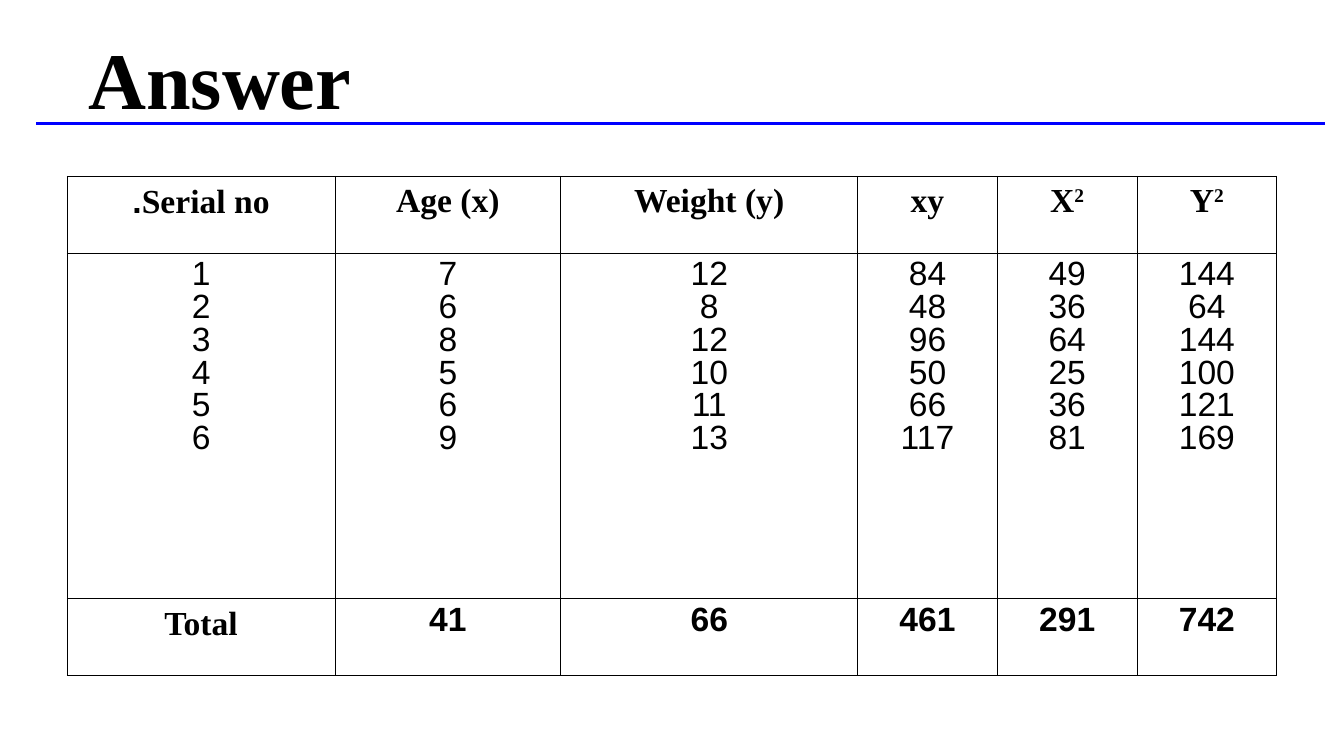
"""Build the answer slide with its table of sums."""
from lxml import etree
from pptx import Presentation, util as u
from pptx.dml.color import RGBColor
from pptx.enum import shapes, text
from pptx.oxml.ns import qn

FONT = "Times New Roman"


def paint(code):
    return RGBColor.from_string(code)


def write(para, words, size, bold, raised=False):
    run = para.add_run()
    run.text = words
    font = run.font
    font.name, font.size, font.bold = FONT, u.Pt(size), bold
    font.color.rgb = paint("000000")
    etree.SubElement(font._element, qn("a:cs")).set("typeface", "Arial")
    if raised:
        font._element.set("baseline", "30000")


deck = Presentation()
deck.slide_width, deck.slide_height = u.Cm(25.4), u.Cm(14.29)
slide = deck.slides.add_slide(deck.slide_layouts[6])

title = slide.shapes.add_textbox(u.Cm(1.27), u.Cm(0.58), u.Cm(22.86), u.Cm(1.78))
frame = title.text_frame
frame.word_wrap = True
frame.vertical_anchor = text.MSO_ANCHOR.MIDDLE
head = frame.paragraphs[0]
head._p.get_or_add_pPr().set("marL", str(u.Cm(0.15)))
write(head, "Answer", 43, True)

ages = [7, 6, 8, 5, 6, 9]
loads = [12, 8, 12, 10, 11, 13]
cross = [84, 48, 96, 50, 66, 117]
age_sq = [49, 36, 64, 25, 36, 81]
load_sq = [144, 64, 144, 100, 121, 169]
heads = ["Serial no.", "Age (x)", "Weight (y)", "xy", "X2", "Y2"]
body = [range(1, 7), ages, loads, cross, age_sq, load_sq]
sums = ["Total", 41, 66, 461, 291, 742]
rows = [[[item] for item in heads], body, [[item] for item in sums]]
wide = [5.06, 4.27, 5.61, 2.64, 2.64, 2.64]
high = [1.45, 6.53, 1.45]

grid = slide.shapes.add_table(
    3, 6, u.Cm(1.27), u.Cm(3.33), u.Cm(sum(wide)), u.Cm(sum(high))).table
grid.first_row = grid.horz_banding = False
for col, width in zip(grid.columns, wide):
    col.width = u.Cm(width)
for row, height in zip(grid.rows, high):
    row.height = u.Cm(height)

for r, row in enumerate(rows):
    for c, items in enumerate(row):
        cell = grid.cell(r, c)
        props = cell._tc.get_or_add_tcPr()
        for side in ("a:lnL", "a:lnR", "a:lnT", "a:lnB"):
            edge = etree.SubElement(props, qn(side), w=str(u.Pt(0.45)))
            fill = etree.SubElement(edge, qn("a:solidFill"))
            etree.SubElement(fill, qn("a:srgbClr"), val="000000")
        cell.fill.background()
        for i, item in enumerate(items):
            para = cell.text_frame.paragraphs[0] if i == 0 else cell.text_frame.add_paragraph()
            para.alignment = text.PP_ALIGN.CENTER
            form = para._p.get_or_add_pPr()
            form.set("marL", str(u.Cm(0.97)))
            form.set("indent", str(u.Cm(-0.97)))
            form.set("rtl", "1")
            if isinstance(item, int):
                para.line_spacing = 0.87
            if item in ("X2", "Y2"):
                write(para, item[0], 18, True)
                write(para, item[1], 18, True, True)
            else:
                write(para, str(item), 18, r != 1)

rule = slide.shapes.add_connector(
    shapes.MSO_CONNECTOR.STRAIGHT, u.Cm(0.69), u.Cm(2.34), u.Cm(25.04), u.Cm(2.34))
rule.line.color.rgb = paint("0000FF")
rule.line.width = u.Pt(1.5)
etree.SubElement(rule._element.spPr, qn("a:effectLst"))

deck.save("out.pptx")
